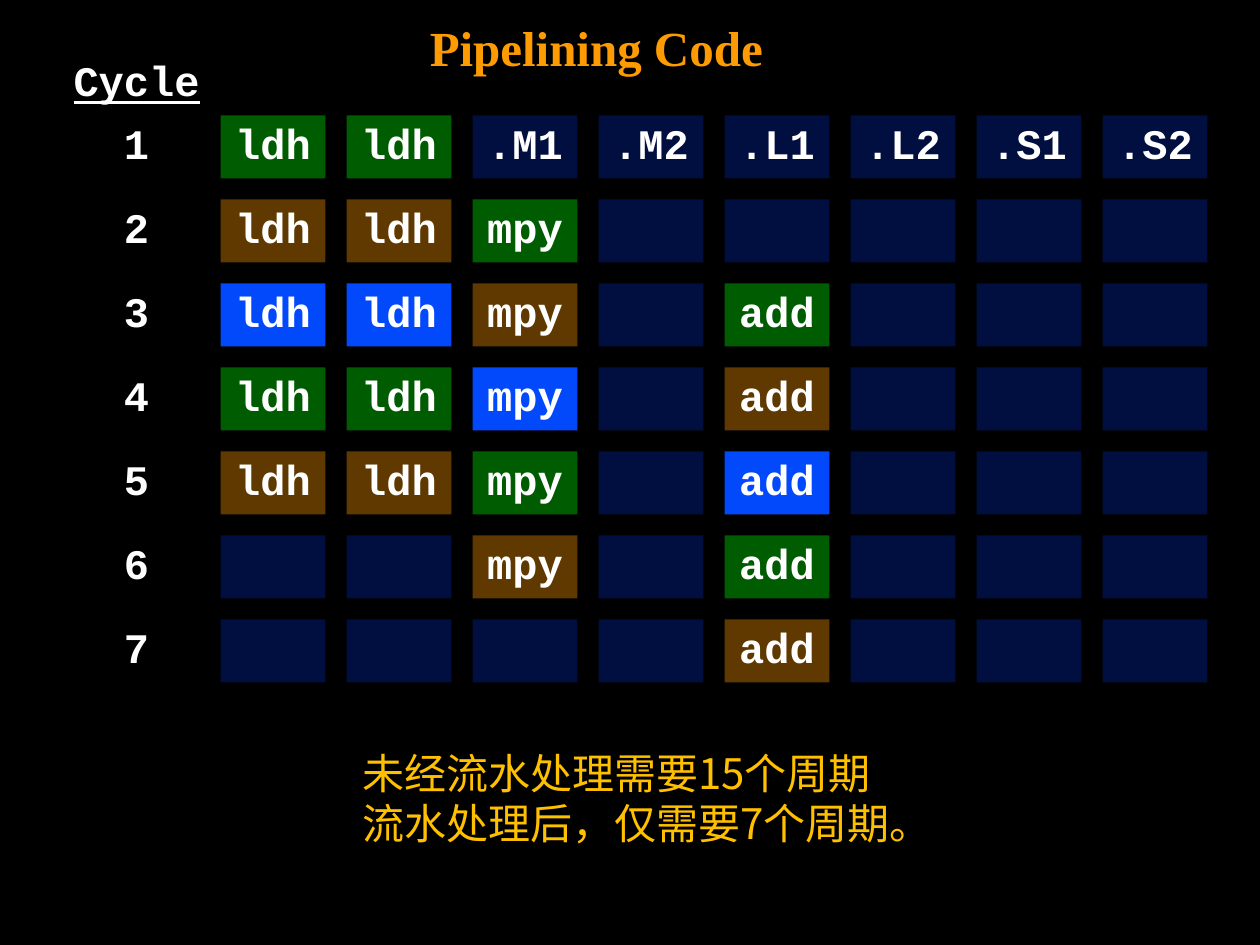
from lxml import etree
from pptx import Presentation
from pptx import util as u
from pptx.dml.color import RGBColor
from pptx.enum import shapes, text
from pptx.oxml.ns import qn

IDLE, WHITE, ORANGE, GOLD = "000F40", "FFFFFF", "FE9B03", "FFC000"
ITERATION_COLOURS = ["005C00", "603900", "0249FC"]
UNITS = ["", "", ".M1", ".M2", ".L1", ".L2", ".S1", ".S2"]
STAGES = {0: ("ldh", 0), 1: ("ldh", 0), 2: ("mpy", 1), 4: ("add", 2)}  # unit: (name, delay)
ITERATIONS, CYCLES = 5, 7
CELL_W, CELL_H, STEP_X, STEP_Y = 60, 36, 72, 48
GRID_X, GRID_Y, LABEL_X = 126, 66, 48
HEADING_W = 76
CODE = {"name": "Courier New", "size": u.Pt(24), "bold": True}


def colour(value):
    return RGBColor.from_string(value)


def write(box, lines, font, ink, centred=True):
    """Fill a box with unwrapped lines, one paragraph each."""
    frame = box.text_frame
    frame.word_wrap = False
    frame.vertical_anchor = text.MSO_ANCHOR.MIDDLE if centred else text.MSO_ANCHOR.TOP
    for number, line in enumerate(lines):
        para = frame.add_paragraph() if number else frame.paragraphs[0]
        para.alignment = text.PP_ALIGN.CENTER if centred else text.PP_ALIGN.LEFT
        if centred:
            para.line_spacing = 0.8
        span = para.add_run()
        span.text = line
        for key, value in font.items():
            setattr(span.font, key, value)
        span.font.color.rgb = colour(ink)
        east_asian = etree.SubElement(span.font._element, qn("a:ea"))
        east_asian.set("typeface", font["name"])


deck = Presentation()
deck.slide_width, deck.slide_height = u.Pt(720), u.Pt(540)
page = deck.slides.add_slide(deck.slide_layouts[6])
page.background.fill.solid()
page.background.fill.fore_color.rgb = colour("000000")

# Column heading, centred over the cycle numbers and wide enough for one line
heading = page.shapes.add_textbox(
    u.Pt(LABEL_X + (CELL_W - HEADING_W) / 2), u.Pt(GRID_Y - CELL_H),
    u.Pt(HEADING_W), u.Pt(CELL_H))
heading.text_frame.margin_left = heading.text_frame.margin_right = 0
write(heading, ["Cycle"], {**CODE, "underline": True}, WHITE)

# Schedule: one row per cycle, one column per unit
for cycle in range(CYCLES):
    top = u.Pt(GRID_Y + cycle * STEP_Y)
    label = page.shapes.add_textbox(u.Pt(LABEL_X), top, u.Pt(CELL_W), u.Pt(CELL_H))
    write(label, [str(cycle + 1)], CODE, WHITE)
    for unit, unit_name in enumerate(UNITS):
        caption, shade = unit_name if cycle == 0 else "", IDLE
        if unit in STAGES:
            instruction, delay = STAGES[unit]
            iteration = cycle - delay
            if 0 <= iteration < ITERATIONS:
                caption = instruction
                shade = ITERATION_COLOURS[iteration % len(ITERATION_COLOURS)]
        cell = page.shapes.add_shape(
            shapes.MSO_SHAPE.RECTANGLE, u.Pt(GRID_X + unit * STEP_X), top,
            u.Pt(CELL_W), u.Pt(CELL_H))
        cell.shadow.inherit = False
        cell.fill.solid()
        cell.fill.fore_color.rgb = colour(shade)
        cell.line.fill.background()
        if caption:
            write(cell, [caption], CODE, WHITE)

title = page.shapes.add_textbox(u.Pt(238.5), u.Pt(6.5), u.Pt(207), u.Pt(41))
write(title, ["Pipelining Code"],
      {"name": "Times New Roman", "size": u.Pt(28), "bold": True}, ORANGE, centred=False)

summary = page.shapes.add_textbox(u.Pt(200), u.Pt(423.5), u.Pt(344), u.Pt(65.5))
write(summary, ["未经流水处理需要15个周期", "流水处理后，仅需要7个周期。"],
      {"name": "Noto Sans CJK SC", "size": u.Pt(24)}, GOLD, centred=False)

deck.save("out.pptx")
